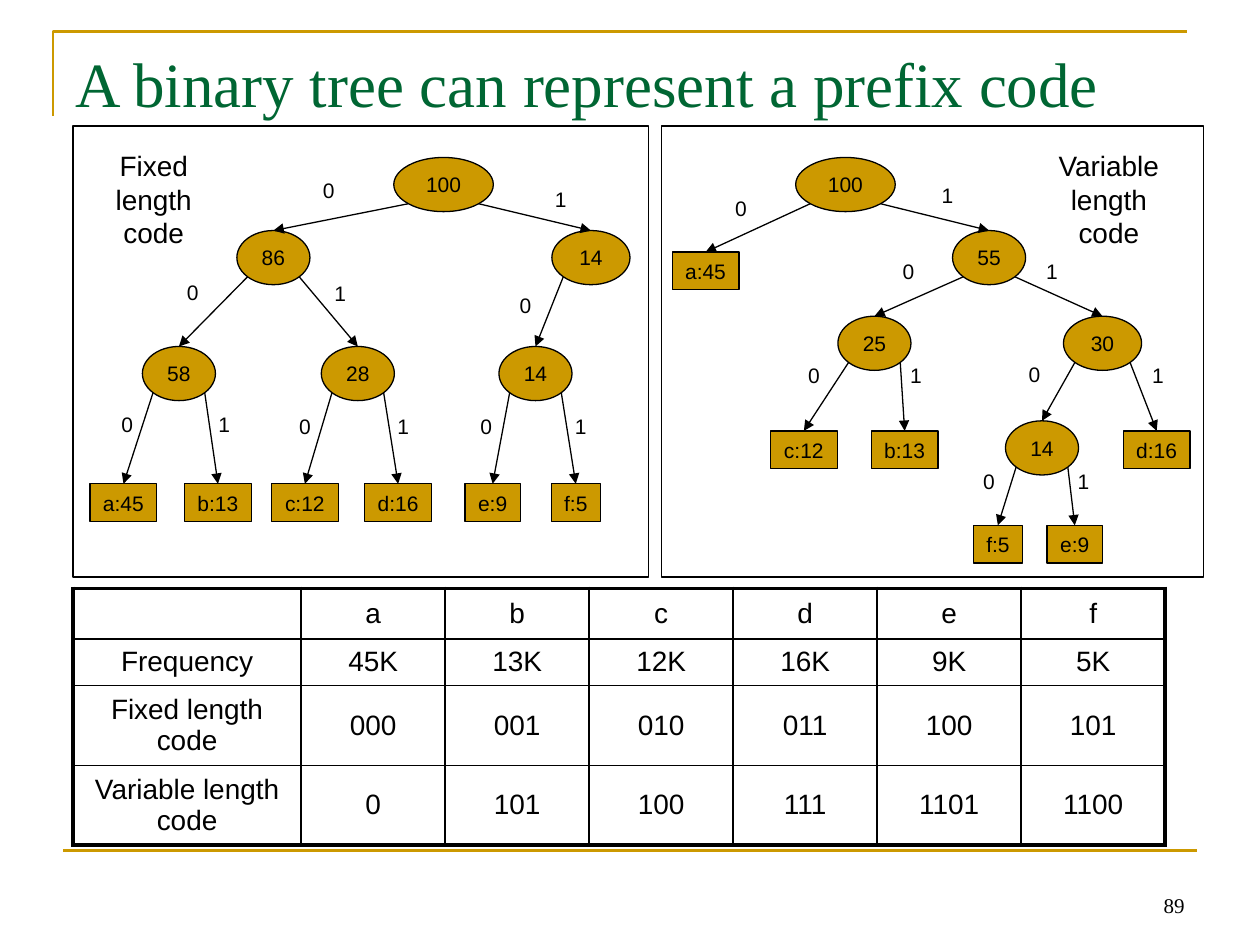
import math
import pptx
import pptx.util
import pptx.dml.color
import pptx.enum.shapes
import pptx.enum.text
import pptx.oxml
import pptx.oxml.ns

Inches, Pt = pptx.util.Inches, pptx.util.Pt
SHAPES = pptx.enum.shapes.MSO_SHAPE
ALIGN = pptx.enum.text.PP_ALIGN
ANCHOR = pptx.enum.text.MSO_ANCHOR
GOLD, BLACK, GREEN = "CC9900", "000000", "006633"
SANS, SERIF = "Arial", "Times New Roman"

# Content
TITLE = "A binary tree can represent a prefix code"
PAGE_NUMBER = "89"

# Nodes are keyed by their code, so the parent is the code without its last digit:
# code: (text, centre x, top, width, centre of the label on the edge to the parent)
FIXED_TREE = {
    "": ("100", 3.52, 1.25, 0.79, None),
    "0": ("86", 2.17, 1.83, 0.58, (2.61, 1.51)),
    "1": ("14", 4.69, 1.83, 0.62, (4.45, 1.58)),
    "00": ("58", 1.42, 2.75, 0.58, (1.53, 2.32)),
    "01": ("28", 2.84, 2.75, 0.58, (2.70, 2.33)),
    "10": ("14", 4.25, 2.75, 0.58, (4.17, 2.42)),
    "000": ("a:45", 0.98, 3.84, 0.53, (1.01, 3.37)),
    "001": ("b:13", 1.73, 3.84, 0.53, (1.78, 3.37)),
    "010": ("c:12", 2.42, 3.84, 0.53, (2.42, 3.38)),
    "011": ("d:16", 3.16, 3.84, 0.53, (3.20, 3.38)),
    "100": ("e:9", 3.91, 3.84, 0.44, (3.86, 3.38)),
    "101": ("f:5", 4.57, 3.84, 0.39, (4.61, 3.38)),
}
VARIABLE_TREE = {
    "": ("100", 6.71, 1.25, 0.79, None),
    "0": ("a:45", 5.60, 2.00, 0.53, (5.88, 1.65)),
    "1": ("55", 7.85, 1.83, 0.58, (7.52, 1.55)),
    "10": ("25", 6.94, 2.51, 0.58, (7.21, 2.15)),
    "11": ("30", 8.75, 2.51, 0.62, (8.35, 2.15)),
    "100": ("c:12", 6.38, 3.42, 0.53, (6.46, 2.98)),
    "101": ("b:13", 7.18, 3.42, 0.53, (7.27, 2.98)),
    "110": ("14", 8.27, 3.34, 0.58, (8.21, 2.97)),
    "111": ("d:16", 9.18, 3.42, 0.53, (9.19, 2.98)),
    "1100": ("f:5", 7.92, 4.17, 0.39, (7.85, 3.82)),
    "1101": ("e:9", 8.53, 4.17, 0.44, (8.60, 3.82)),
}
# (tree, caption, caption left, panel left, panel width)
PANELS = [
    (FIXED_TREE, "Fixed length code", 0.56, 0.58, 4.57),
    (VARIABLE_TREE, "Variable length code", 8.14, 5.25, 4.30),
]
PANEL_TOP, PANEL_HEIGHT = 1.00, 3.58
ELLIPSE_HEIGHT, LEAF_HEIGHT, LABEL_SIZE = 0.43, 0.30, 0.30

CODE_TABLE = [
    ["", "a", "b", "c", "d", "e", "f"],
    ["Frequency", "45K", "13K", "12K", "16K", "9K", "5K"],
    ["Fixed length code", "000", "001", "010", "011", "100", "101"],
    ["Variable length code", "0", "101", "100", "111", "1101", "1100"],
]
COLUMN_WIDTHS = [1.81] + [1.143] * 6
ROW_HEIGHTS = [0.37, 0.37, 0.63, 0.63]


def color(value):
    return pptx.dml.color.RGBColor.from_string(value)


def write(frame, text, size, font=SANS, ink=BLACK, align=ALIGN.CENTER):
    frame.text = text
    paragraph = frame.paragraphs[0]
    paragraph.alignment = align
    for run in paragraph.runs:
        run.font.size, run.font.name = Pt(size), font
        run.font.color.rgb = color(ink)


def outline(shape, ink, width):
    shape.line.color.rgb = color(ink)
    shape.line.width = Pt(width)


def add_line(slide, start, end, ink, width, arrow=False):
    line = slide.shapes.add_connector(
        pptx.enum.shapes.MSO_CONNECTOR.STRAIGHT, *map(Inches, start + end))
    outline(line, ink, width)
    if arrow:
        tail = pptx.oxml.parse_xml(
            f'<a:tailEnd {pptx.oxml.ns.nsdecls("a")} type="triangle"/>')
        line.line._get_or_add_ln().append(tail)
    line._element.spPr.append(
        pptx.oxml.parse_xml(f'<a:effectLst {pptx.oxml.ns.nsdecls("a")}/>'))
    return line


def add_text(slide, box, text, size, wrap=True, **style):
    frame = slide.shapes.add_textbox(*map(Inches, box)).text_frame
    frame.word_wrap = wrap
    write(frame, text, size, **style)
    return frame


def add_tree(slide, tree):
    nodes = {}
    for code, (text, center, top, width, _) in tree.items():
        leaf = ":" in text
        node = slide.shapes.add_shape(
            SHAPES.RECTANGLE if leaf else SHAPES.OVAL,
            Inches(center - width / 2), Inches(top),
            Inches(width), Inches(LEAF_HEIGHT if leaf else ELLIPSE_HEIGHT))
        node.shadow.inherit = False
        node.fill.solid()
        node.fill.fore_color.rgb = color(GOLD)
        outline(node, BLACK, 0.75)
        frame = node.text_frame
        frame.word_wrap = False
        frame.vertical_anchor = ANCHOR.MIDDLE
        write(frame, text, 12)
        nodes[code] = node

    # Edges leave the ellipse at 45 degrees and end at the top of the child
    for code, (_, center, top, _, label_center) in tree.items():
        if not code:
            continue
        _, parent_center, parent_top, parent_width, _ = tree[code[:-1]]
        side = 1 if code[-1] == "1" else -1
        reach = math.sqrt(0.5) / 2
        start = (parent_center + side * reach * parent_width,
                 parent_top + (0.5 + reach) * ELLIPSE_HEIGHT)
        edge = add_line(slide, start, (center, top), BLACK, 0.75, arrow=True)
        edge.end_connect(nodes[code], 0)
        x, y = label_center
        add_text(slide, (x - LABEL_SIZE / 2, y - LABEL_SIZE / 2, LABEL_SIZE, LABEL_SIZE),
                 code[-1], 12, wrap=False)


def set_border(cell, side, width):
    cell._tc.get_or_add_tcPr().append(pptx.oxml.parse_xml(
        f'<a:ln{side} {pptx.oxml.ns.nsdecls("a")} w="{int(Pt(width))}">'
        f'<a:solidFill><a:srgbClr val="{BLACK}"/></a:solidFill></a:ln{side}>'))


def add_code_table(slide):
    rows, columns = len(ROW_HEIGHTS), len(COLUMN_WIDTHS)
    table = slide.shapes.add_table(
        rows, columns, Inches(0.58), Inches(4.67),
        Inches(sum(COLUMN_WIDTHS)), Inches(sum(ROW_HEIGHTS))).table
    table.first_row = table.horz_banding = False
    for column, width in zip(table.columns, COLUMN_WIDTHS):
        column.width = Inches(width)
    for row, height in zip(table.rows, ROW_HEIGHTS):
        row.height = Inches(height)
    for r, values in enumerate(CODE_TABLE):
        for c, value in enumerate(values):
            cell = table.cell(r, c)
            outer = {"L": c == 0, "R": c == columns - 1, "T": r == 0, "B": r == rows - 1}
            for side, is_outer in outer.items():
                set_border(cell, side, 2.25 if is_outer else 1)
            cell.fill.background()
            cell.vertical_anchor = ANCHOR.MIDDLE
            write(cell.text_frame, value, 16)


def main():
    presentation = pptx.Presentation()
    presentation.slide_width, presentation.slide_height = Inches(10), Inches(7.5)
    slide = presentation.slides.add_slide(presentation.slide_layouts[5])

    # Corner rule, bottom rule and page number
    builder = slide.shapes.build_freeform(Inches(0.42), Inches(0.92))
    builder.add_line_segments(
        [(Inches(0.42), Inches(0.25)), (Inches(9.42), Inches(0.25))], close=False)
    corner = builder.convert_to_shape()
    corner.shadow.inherit = False
    corner.fill.background()
    outline(corner, GOLD, 1.5)
    add_line(slide, (0.5, 6.75), (9.5, 6.75), GOLD, 1.5)
    number = add_text(slide, (7.17, 6.83, 2.33, 0.5), PAGE_NUMBER, 12,
                      font=SERIF, align=ALIGN.RIGHT)
    number.vertical_anchor = ANCHOR.BOTTOM

    # Title
    title = slide.shapes.title
    title.left, title.top, title.width, title.height = map(Inches, (0.5, 0.3, 9, 1.25))
    title.text_frame.auto_size = pptx.enum.text.MSO_AUTO_SIZE.NONE
    title.text_frame.vertical_anchor = ANCHOR.TOP
    write(title.text_frame, TITLE, 36, SERIF, GREEN, ALIGN.LEFT)

    # Trees in their panels, then the table
    for tree, caption, caption_left, left, width in PANELS:
        add_tree(slide, tree)
        add_text(slide, (caption_left, 1.13, 1.32, 0.91), caption, 16)
        panel = slide.shapes.add_shape(
            SHAPES.RECTANGLE, *map(Inches, (left, PANEL_TOP, width, PANEL_HEIGHT)))
        panel.shadow.inherit = False
        panel.fill.background()
        outline(panel, BLACK, 0.75)
    add_code_table(slide)

    presentation.save("out.pptx")


if __name__ == "__main__":
    main()
